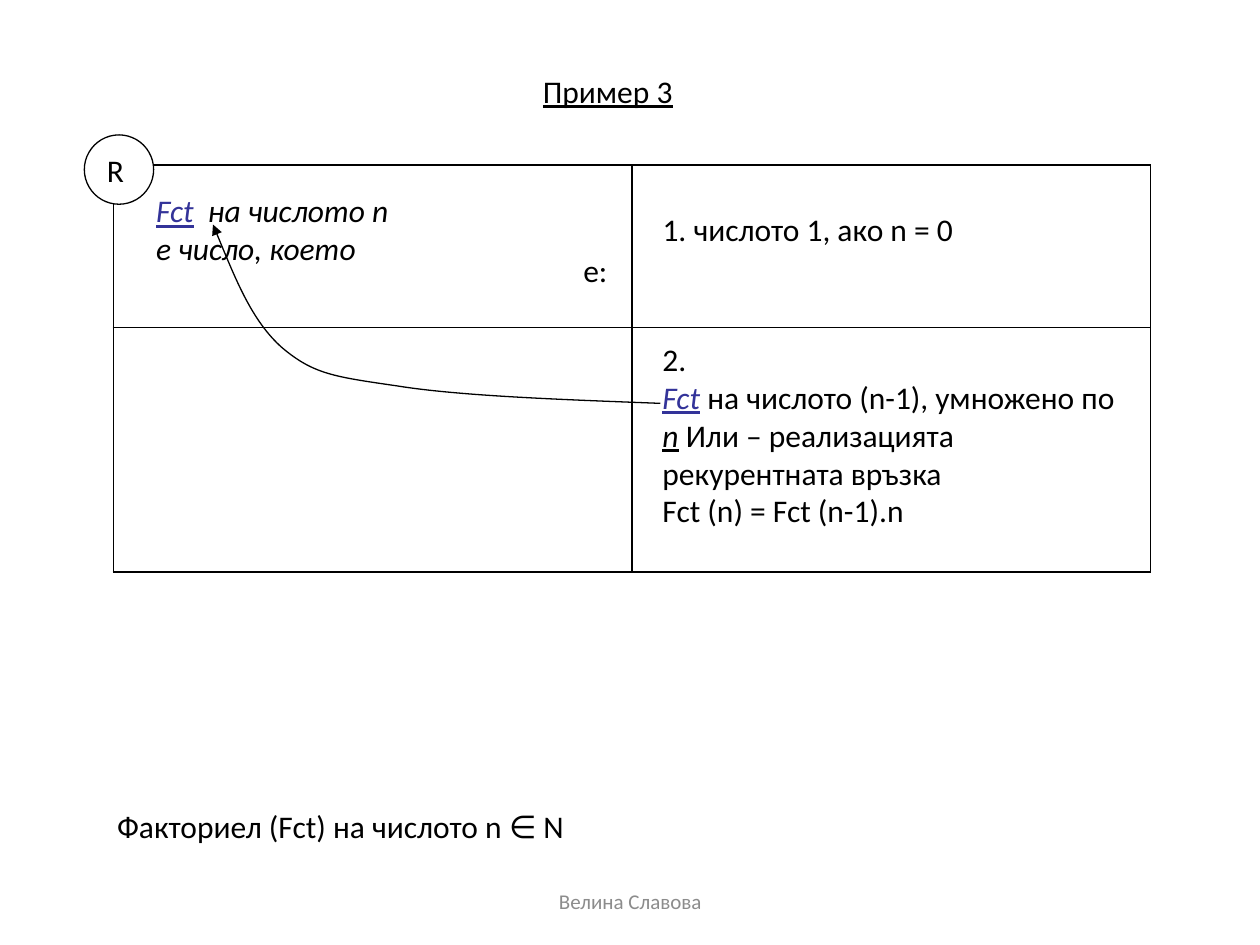
import pptx
import pptx.util
import pptx.dml.color
import pptx.enum.shapes
import pptx.enum.text
import pptx.oxml
import pptx.oxml.ns
import lxml.etree

Pt = pptx.util.Pt
RGBColor = pptx.dml.color.RGBColor
ALIGN = pptx.enum.text.PP_ALIGN
ANCHOR = pptx.enum.text.MSO_ANCHOR
qn = pptx.oxml.ns.qn

BLACK = RGBColor(0, 0, 0)
WHITE = RGBColor(255, 255, 255)
INDIGO = RGBColor(0x33, 0x33, 0x99)
GREY = RGBColor(0x8C, 0x8C, 0x8C)
FONT = "Calibri"
TERM = {"color": INDIGO, "italic": True, "underline": True}


def write(frame, paragraphs, size=18, align=ALIGN.LEFT, anchor=ANCHOR.TOP):
    frame.word_wrap = True
    frame.vertical_anchor = anchor
    for index, runs in enumerate(paragraphs):
        para = frame.add_paragraph() if index else frame.paragraphs[0]
        para.alignment = align
        for text, style in runs:
            span = para.add_run()
            span.text = text
            span.font.name = FONT
            span.font.size = Pt(size)
            span.font.italic = style.get("italic", False)
            span.font.underline = style.get("underline", False)
            span.font.color.rgb = style.get("color", BLACK)


def add_text(page, left, top, width, height, paragraphs, **layout):
    box = page.shapes.add_textbox(Pt(left), Pt(top), Pt(width), Pt(height))
    write(box.text_frame, paragraphs, **layout)


def border_cell(cell):
    cell.fill.background()
    properties = cell._tc.get_or_add_tcPr()
    for index, side in enumerate(("lnL", "lnR", "lnT", "lnB")):
        border = pptx.oxml.parse_xml(
            f'<a:{side} {pptx.oxml.ns.nsdecls("a")} w="{Pt(1)}">'
            f'<a:solidFill><a:srgbClr val="{BLACK}"/></a:solidFill></a:{side}>')
        properties.insert(index, border)


def add_grid(page, left, top, width, row_heights):
    frame = page.shapes.add_table(
        len(row_heights), 2, Pt(left), Pt(top), Pt(width), Pt(sum(row_heights)))
    table = frame.table
    table.first_row = table.horz_banding = False
    for column in table.columns:
        column.width = Pt(width / 2)
    for row, height in zip(table.rows, row_heights):
        row.height = Pt(height)
        for cell in row.cells:
            border_cell(cell)


def add_recursion_arrow(page, left, top):
    start = (255.6, 102.2)
    curves = [
        ((198, 100), (140.8, 98), (105, 92.2)),
        ((69, 87), (57.5, 85.5), (39.6, 70.5)),
        ((22, 55), (11.5, 27.5), (0, 0)),
    ]
    builder = page.shapes.build_freeform(Pt(left + start[0]), Pt(top + start[1]))
    builder.add_line_segments(
        [(Pt(left + x), Pt(top + y)) for x, y in (curve[-1] for curve in curves)],
        close=False)
    arrow = builder.convert_to_shape()
    arrow.shadow.inherit = False
    arrow.fill.background()
    arrow.line.color.rgb = BLACK
    arrow.line.width = Pt(0.75)
    for segment, curve in zip(list(arrow._element.iter(qn("a:lnTo"))), curves):
        bezier = lxml.etree.Element(qn("a:cubicBezTo"))
        for x, y in curve:
            lxml.etree.SubElement(bezier, qn("a:pt"), x=str(Pt(x)), y=str(Pt(y)))
        segment.getparent().replace(segment, bezier)
    lxml.etree.SubElement(arrow.line._get_or_add_ln(), qn("a:tailEnd"), type="triangle")


def add_badge(page, left, top, size):
    badge = page.shapes.add_shape(
        pptx.enum.shapes.MSO_SHAPE.OVAL, Pt(left), Pt(top), Pt(size), Pt(size))
    badge.shadow.inherit = False
    badge.fill.solid()
    badge.fill.fore_color.rgb = WHITE
    badge.line.color.rgb = BLACK
    badge.line.width = Pt(0.75)
    write(badge.text_frame, [[("R", {})]])


def add_definition(page, left, top, width):
    add_grid(page, left, top, width, (92.7, 139.8))
    add_recursion_arrow(page, left + 56.9, top + 34)
    add_text(page, left + 17.3, top + 11.5, 295, 70, [
        [("Fct", TERM), ("  на числото n", {"italic": True})],
        [("е число, което", {"italic": True})],
    ])
    add_text(page, left + 261.4, top + 45.4, 30.2, 29, [[("e:", {})]])
    add_badge(page, left - 16.6, top - 17.2, 39.6)
    add_text(page, left + 306.7, top + 22.3, 289.4, 29,
             [[("1. числото 1, ако n = 0", {})]])
    add_text(page, left + 306.7, top + 96.5, 283.7, 137, [
        [("2.", {})],
        [("Fct", TERM), (" на числото (n-1), умножено по ", {}),
         ("n", {"italic": True, "underline": True}),
         (" Или – реализацията рекурентната връзка", {})],
        [("Fct (n) = Fct (n-1).n", {})],
    ])


def main():
    deck = pptx.Presentation()
    deck.slide_width, deck.slide_height = Pt(720), Pt(540)
    page = deck.slides.add_slide(deck.slide_layouts[6])
    add_text(page, 303.1, 37.4, 131, 29, [[("Пример 3", {"underline": True})]],
             align=ALIGN.JUSTIFY, anchor=ANCHOR.MIDDLE)
    add_definition(page, 64.8, 94.3, 592.6)
    add_text(page, 59.8, 457.2, 584, 29,
             [[("Факториел (Fct) на числото n ∈ N", {})]], anchor=ANCHOR.MIDDLE)
    add_text(page, 246.2, 500.4, 228, 28.8, [[("Велина Славова", {"color": GREY})]],
             size=12, align=ALIGN.CENTER, anchor=ANCHOR.MIDDLE)
    deck.save("out.pptx")


if __name__ == "__main__":
    main()
